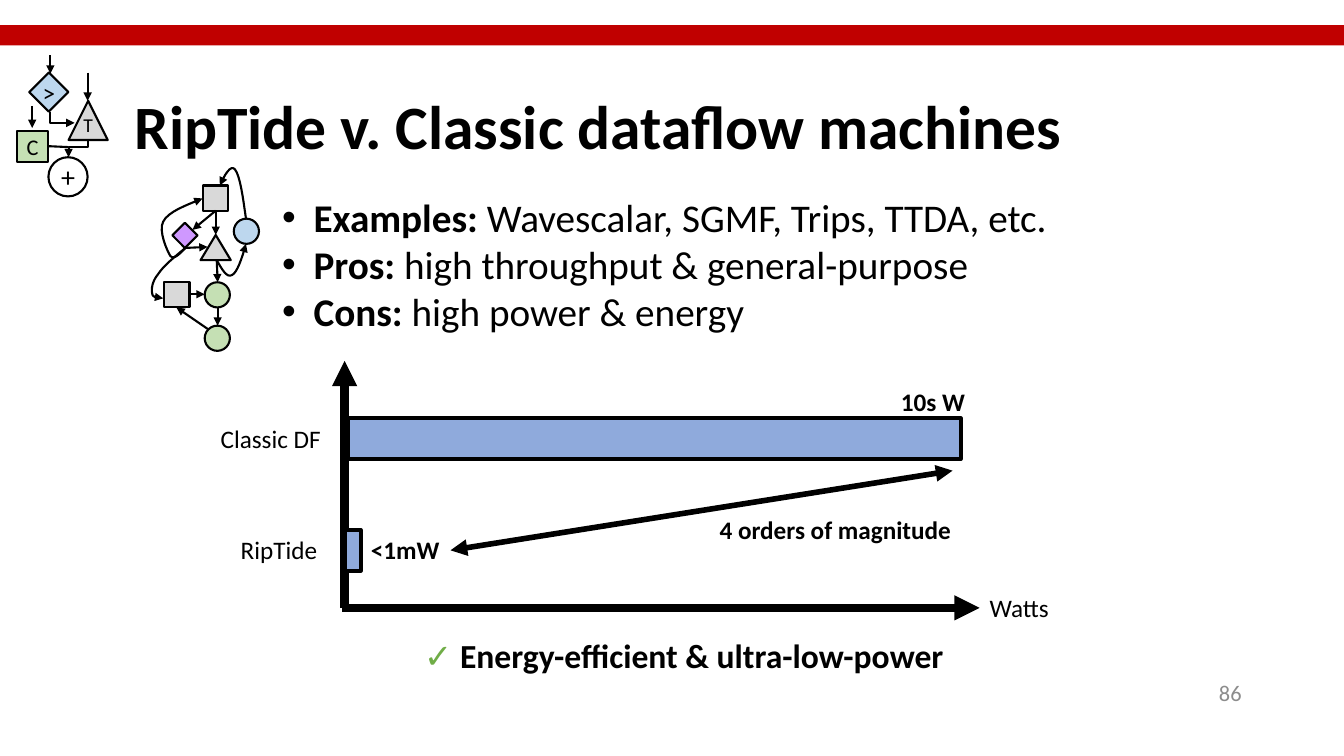
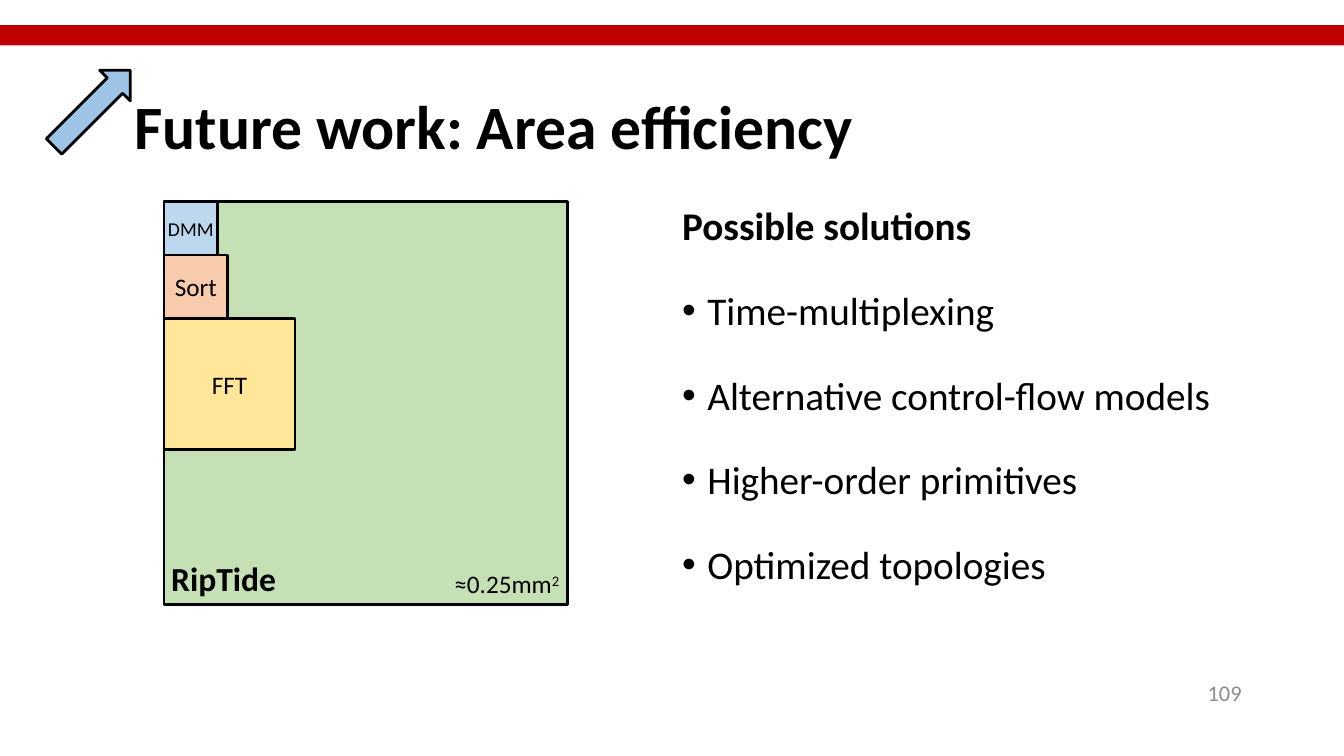
"""Builds two slides on dataflow machines: a power comparison and future work."""
from lxml import etree
from pptx import Presentation
from pptx import util as u
from pptx.dml.color import RGBColor
from pptx.enum import shapes as kinds, text as styles
from pptx.oxml.ns import qn

COLORS = {
    "black": "000000", "white": "FFFFFF", "red": "C00000", "footer": "8C8C8C",
    "gray": "D9D9D9", "green": "C5E0B4", "pale_blue": "BDD7EE", "purple": "CF98FF",
    "check": "70AD47", "bar": "8FAADC", "arrow": "9DC3E6", "peach": "F8CBAD",
    "yellow": "FFE699",
}
FONT = "Calibri"
SHAPE = kinds.MSO_SHAPE
ALIGN = styles.PP_ALIGN
ANCHOR = styles.MSO_ANCHOR


def color(name):
    return RGBColor.from_string(COLORS[name])


def points(values):
    return [u.Pt(value) for value in values]


def set_font(font, size, bold=False, ink="black"):
    font.name, font.size, font.bold = FONT, u.Pt(size), bold
    font.color.rgb = color(ink)


def add_bullet(para, indent):
    props = para._p.get_or_add_pPr()
    props.set("marL", str(u.Pt(indent)))
    props.set("indent", str(-u.Pt(indent)))
    etree.SubElement(props, qn("a:buFont")).set("typeface", "Arial")
    etree.SubElement(props, qn("a:buChar")).set("char", "•")


def add_text(page, at, content, size=18, bold=False, ink="black", align=ALIGN.LEFT,
             anchor=ANCHOR.TOP, wrap=False):
    box = page.shapes.add_textbox(*points(at))
    frame = box.text_frame
    frame.word_wrap = wrap
    frame.vertical_anchor = anchor
    para = frame.paragraphs[0]
    para.text = content
    para.alignment = align
    set_font(para.font, size, bold, ink)
    return para


def add_span(para, content, size, bold=False, ink="black"):
    span = para.add_run()
    span.text = content
    set_font(span.font, size, bold, ink)
    return span


def add_shape(page, kind, at, fill, line=1.5, label="", size=18, bottom=0):
    shape = page.shapes.add_shape(kind, *points(at))
    shape.shadow.inherit = False
    shape.fill.solid()
    shape.fill.fore_color.rgb = color(fill)
    if line:
        shape.line.color.rgb = color("black")
        shape.line.width = u.Pt(line)
    else:
        shape.line.fill.background()
    if label:
        frame = shape.text_frame
        frame.margin_left = frame.margin_right = frame.margin_top = 0
        frame.margin_bottom = u.Pt(bottom)
        frame.vertical_anchor = ANCHOR.MIDDLE
        frame.word_wrap = False
        para = frame.paragraphs[0]
        para.text = label
        para.alignment = ALIGN.CENTER
        set_font(para.font, size)
    return shape


def style_line(line, width, ends):
    line.color.rgb = color("black")
    line.width = u.Pt(width)
    for end in ends:
        etree.SubElement(line._get_or_add_ln(), qn(f"a:{end}")).set("type", "triangle")


def add_line(page, ends_at, width=1.5, ends=("tailEnd",)):
    line = page.shapes.add_connector(kinds.MSO_CONNECTOR.STRAIGHT, *points(ends_at))
    style_line(line.line, width, ends)
    etree.SubElement(line._element.spPr, qn("a:effectLst"))


def add_path(page, vertices):
    start, *rest = [points(vertex) for vertex in vertices]
    builder = page.shapes.build_freeform(*start)
    builder.add_line_segments(rest, close=False)
    path = builder.convert_to_shape()
    path.shadow.inherit = False
    path.fill.background()
    style_line(path.line, 1.5, ["tailEnd"])


def add_curve(page, controls, steps=8):
    vertices = [controls[0]]
    for first in range(0, len(controls) - 1, 3):
        for step in range(1, steps + 1):
            t = step / steps
            weights = ((1 - t) ** 3, 3 * t * (1 - t) ** 2, 3 * t * t * (1 - t), t ** 3)
            corners = controls[first:first + 4]
            vertices.append([sum(w * c[axis] for w, c in zip(weights, corners))
                             for axis in (0, 1)])
    add_path(page, vertices)


def add_page(deck, title, number):
    page = deck.slides.add_slide(deck.slide_layouts[6])
    add_shape(page, SHAPE.RECTANGLE, (0, 18, 960, 14.4), "red", line=0)
    heading = add_text(page, (89, 40.5, 828, 104.4), title, 44, True,
                       anchor=ANCHOR.MIDDLE, wrap=True)
    heading.line_spacing = 0.9
    add_text(page, (678, 480, 216, 29), number, 16, ink="footer", align=ALIGN.RIGHT,
             anchor=ANCHOR.MIDDLE, wrap=True)
    return page


def draw_operator_icon(page):
    icon = page.shapes.add_group_shape()
    for kind, at, fill, label, size, bottom in (
        (SHAPE.ISOSCELES_TRIANGLE, (49, 72, 28, 28), "gray", "T", 14, 7.2),
        (SHAPE.RECTANGLE, (12.2, 93.6, 22.3, 22.3), "green", "C", 16, 0),
        (SHAPE.DIAMOND, (20.9, 51.8, 28, 28), "pale_blue", ">", 18, 0),
        (SHAPE.OVAL, (34.6, 112.3, 28, 28), "white", "+", 20, 0),
    ):
        add_shape(icon, kind, at, fill, 1.5, label, size, bottom)
    add_path(icon, [(62.6, 99.4), (62.6, 105.1), (49, 105.1), (49, 112.3)])
    add_path(icon, [(36, 80), (36, 87.8), (53.3, 87.8)])
    for ends_at in ((62.6, 51.8, 62.6, 72), (36, 39.6, 36, 52.6), (23, 75.6, 23, 91.4)):
        add_line(icon, ends_at)
    add_line(icon, (34.6, 104.4, 49, 105.1), ends=())


def draw_dataflow_graph(page):
    graph = page.shapes.add_group_shape()
    for kind, left, top, width, fill in (
        (SHAPE.RECTANGLE, 144.7, 132.5, 18, "gray"),
        (SHAPE.OVAL, 146.2, 201.6, 18, "green"),
        (SHAPE.OVAL, 167, 156.2, 18, "pale_blue"),
        (SHAPE.ISOSCELES_TRIANGLE, 143.3, 167.8, 21.6, "gray"),
        (SHAPE.DIAMOND, 123.1, 159.1, 18, "purple"),
        (SHAPE.OVAL, 146.2, 232.6, 18, "green"),
        (SHAPE.RECTANGLE, 117.4, 201.6, 18, "gray"),
    ):
        add_shape(graph, kind, (left, top, width, 18), fill)
    for ends_at in (
        (154.1, 150.5, 154.1, 167.8), (154.1, 150.5, 137.5, 164.2),
        (132.5, 177.1, 148.3, 176.4), (154.8, 185.8, 155.5, 201.6),
        (155.5, 219.6, 155.5, 232.6), (135.4, 210.2, 146.2, 210.2),
        (149, 235.4, 126, 219.6),
    ):
        add_line(graph, ends_at)
    for controls in (
        [(132.5, 177.1), (128.2, 181.4), (124.6, 185.8), (121.7, 182.9), (119.5, 179.3),
         (113, 164.9), (116.6, 158.4), (120.2, 151.2), (132.5, 146.9), (144.7, 141.8)],
        [(154.8, 185.8), (158.4, 192.2), (162, 198.7), (165.6, 196.6), (169.2, 195.1),
         (172.8, 185), (175.7, 174.2)],
        [(175.7, 156.2), (173.5, 140.4), (171.4, 125.3), (167.8, 121), (164.9, 117.4),
         (160.6, 124.6), (157, 132.5)],
        [(132.5, 177.1), (124.6, 183.6), (116.6, 190.1), (113, 195.8), (108.7, 200.9),
         (108, 206.6), (108.7, 209.5), (108.7, 212.4), (113, 213.1), (116.6, 213.1)],
    ):
        add_curve(graph, controls)


def draw_power_chart(page):
    add_line(page, (246.2, 434.2, 246.2, 257.8), 6)
    add_line(page, (244, 434.2, 699.8, 434.2), 6)
    for at in ((248.4, 298.8, 437.8, 29), (246.2, 378.7, 11.5, 29)):
        add_shape(page, SHAPE.RECTANGLE, at, "bar", 3)
    for left, top, width, label, bold in (
        (699.8, 419.8, 57.6, "Watts", False),
        (150.5, 298.8, 87.1, "Classic DF", False),
        (164.9, 378.4, 69.8, "RipTide", False),
        (636.5, 272.2, 60.5, "10s W", True),
        (257.8, 378.4, 64.1, "<1mW", True),
        (506.9, 363.6, 181.4, "4 orders of magnitude", True),
    ):
        add_text(page, (left, top, width, 29), label, bold=bold)
    add_line(page, (321.8, 393.1, 680.4, 336.2), 4, ("headEnd", "tailEnd"))


def build_comparison(deck):
    page = add_page(deck, "RipTide v. Classic dataflow machines", "86")
    draw_operator_icon(page)
    frame = page.shapes.add_textbox(*points((194.4, 134.6, 591.8, 108.7))).text_frame
    frame.word_wrap = True
    for index, (lead, rest) in enumerate((
        ("Examples:", " Wavescalar, SGMF, Trips, TTDA, etc."),
        ("Pros:", " high throughput & general-purpose"),
        ("Cons:", " high power & energy"),
    )):
        para = frame.add_paragraph() if index else frame.paragraphs[0]
        add_bullet(para, 22.5)
        add_span(para, lead, 28, True)
        add_span(para, rest, 28)
    draw_dataflow_graph(page)
    draw_power_chart(page)
    claim = add_text(page, (295.9, 450, 388.1, 36), "", 24, True)
    add_span(claim, "✓ ", 24, True, "check")
    add_span(claim, "Energy-efficient & ultra-low-power", 24, True)


def build_future_work(deck):
    page = add_page(deck, "Future work: Area efficiency", "109")
    frame = page.shapes.add_textbox(*points((480.2, 144, 414, 324.7))).text_frame
    frame.word_wrap = True
    heading = frame.paragraphs[0]
    heading.text = "Possible solutions"
    heading.line_spacing = 0.9
    set_font(heading.font, 28, True)
    for solution in ("Time-multiplexing", "Alternative control-flow models",
                     "Higher-order primitives", "Optimized topologies"):
        para = frame.add_paragraph()
        para.text = solution
        para.line_spacing = 1.5
        para.space_before = u.Pt(10)
        add_bullet(para, 18)
        set_font(para.font, 28)
    arrow = add_shape(page, SHAPE.RIGHT_ARROW, (27.4, 61.9, 77, 31), "arrow", 2)
    arrow.rotation = 315
    left, top = 117.2, 144
    add_shape(page, SHAPE.RECTANGLE, (left, top, 288, 288), "green", 2)
    add_text(page, (115.2, 395.3, 90, 36), "RipTide", 24, True)
    for label, side, fill, size in (("DMM", 38.2, "pale_blue", 14),
                                    ("Sort", 45.4, "peach", 18),
                                    ("FFT", 93.6, "yellow", 18)):
        add_shape(page, SHAPE.RECTANGLE, (left, top, side, side), fill, 2, label, size)
        top += side
    area = add_text(page, (317.5, 402.5, 90.7, 29), "≈0.25mm")
    power = add_span(area, "2", 18)
    power._r.get_or_add_rPr().set("baseline", "30000")


def main():
    deck = Presentation()
    deck.slide_width, deck.slide_height = points((960, 540))
    build_comparison(deck)
    build_future_work(deck)
    deck.save("out.pptx")


if __name__ == "__main__":
    main()
